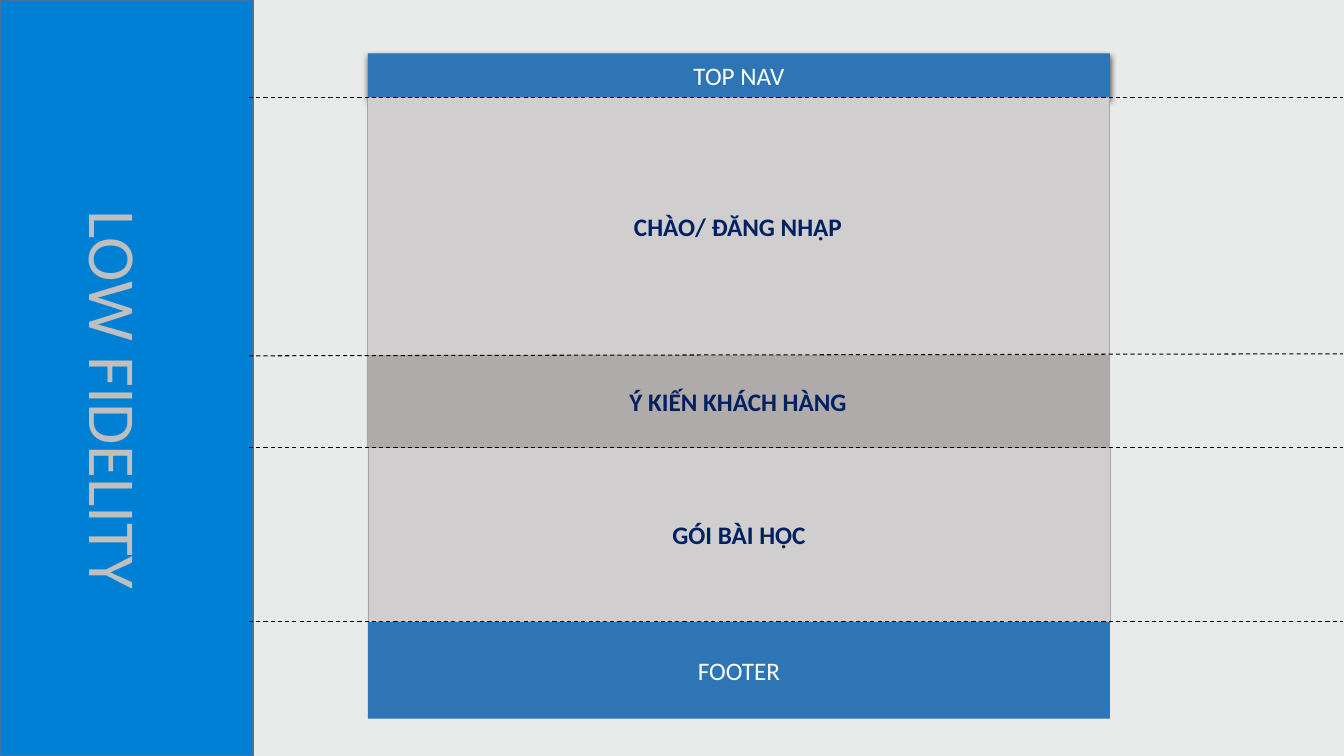
"""Build the low-fidelity wireframe slide with its stacked page sections."""
from lxml.etree import SubElement
from pptx import Presentation
from pptx.dml.color import RGBColor as Color
from pptx.enum.dml import MSO_LINE as Dash
from pptx.enum.shapes import MSO_CONNECTOR as Connector, MSO_SHAPE as Shape
from pptx.enum.text import MSO_ANCHOR as Anchor, MSO_AUTO_SIZE as Fit, PP_ALIGN as Align
from pptx.oxml import parse_xml
from pptx.oxml.ns import nsdecls, qn
from pptx.util import Inches, Pt

WHITE = Color(0xFF, 0xFF, 0xFF)
BLACK = Color(0x00, 0x00, 0x00)
NAVY = Color(0x00, 0x20, 0x60)
BLUE = Color(0x2E, 0x75, 0xB6)
PANEL = Color(0x00, 0x80, 0xD4)
PANEL_EDGE = Color(0x43, 0x73, 0x9E)
BACKDROP = Color(0xE9, 0xEA, 0xEA)
LIGHT = Color(0xD0, 0xCE, 0xCE)
MEDIUM = Color(0xAF, 0xAB, 0xAB)
EDGE = Color(0xA5, 0xA5, 0xA5)
TITLE_GREY = Color(0xBF, 0xBF, 0xBF)

WIDTH, HEIGHT = 13.33, 7.5
PANEL_WIDTH = 2.51
SECTION_WIDTH = 7.36
SECTION_TOP = 0.53
GUIDE_LEFT, GUIDE_RIGHT = 2.47, 13.32

TITLE = "LOW FIDELITY"
BAR = {"size": Pt(18), "name": "Calibri", "bold": False, "color": WHITE}
BODY = {**BAR, "bold": True, "color": NAVY}
HEADING = {**BAR, "size": Pt(48), "color": TITLE_GREY}

SECTIONS = [
    ("TOP NAV", 3.65, 0.44, BLUE, None, BAR),
    ("CHÀO/ ĐĂNG NHẬP", 3.64, 2.56, LIGHT, EDGE, BODY),
    ("Ý KIẾN KHÁCH HÀNG", 3.64, 0.91, MEDIUM, EDGE, BODY),
    ("GÓI BÀI HỌC", 3.65, 1.73, LIGHT, EDGE, BODY),
    ("FOOTER", 3.65, 0.96, BLUE, None, BAR),
]
GUIDE_RISES = [0, 0.02, 0, 0]

SHADOW = (
    f'<a:effectLst {nsdecls("a")}><a:outerShdw blurRad="57150" dist="19050" '
    'dir="5400000" algn="ctr" rotWithShape="0"><a:srgbClr val="000000">'
    '<a:alpha val="63000"/></a:srgbClr></a:outerShdw></a:effectLst>'
)


def write(para, text, style):
    span = para.add_run()
    span.text = text
    for key, value in style.items():
        if key == "color":
            span.font.color.rgb = value
        else:
            setattr(span.font, key, value)


def add_box(page, left, top, width, height, fill, edge=None, weight=0.5):
    box = page.shapes.add_shape(Shape.RECTANGLE, *map(Inches, (left, top, width, height)))
    box.shadow.inherit = False
    box.fill.solid()
    box.fill.fore_color.rgb = fill
    if edge is None:
        box.line.fill.background()
    else:
        box.line.color.rgb = edge
        box.line.width = Pt(weight)
    return box


def add_guide(page, start, end):
    points = map(Inches, (GUIDE_LEFT, start, GUIDE_RIGHT, end))
    guide = page.shapes.add_connector(Connector.STRAIGHT, *points)
    guide.line.color.rgb = BLACK
    guide.line.width = Pt(0.75)
    guide.line.dash_style = Dash.DASH
    SubElement(guide.element.spPr, qn("a:effectLst"))


def place_title(page):
    title = page.shapes.title
    title.element.getparent().append(title.element)
    place = {"left": -0.85, "top": 3.53, "width": 3.99, "height": 0.91}
    for key, value in place.items():
        setattr(title, key, Inches(value))
    title.rotation = 90
    frame = title.text_frame
    layout = {"word_wrap": False, "auto_size": Fit.SHAPE_TO_FIT_TEXT, "vertical_anchor": Anchor.TOP}
    for key, value in layout.items():
        setattr(frame, key, value)
    para = frame.paragraphs[0]
    para.alignment = Align.LEFT
    write(para, TITLE, HEADING)


def main():
    deck = Presentation()
    deck.slide_width, deck.slide_height = Inches(WIDTH), Inches(HEIGHT)
    page = deck.slides.add_slide(deck.slide_layouts[5])

    add_box(page, PANEL_WIDTH, 0, WIDTH - PANEL_WIDTH, HEIGHT, BACKDROP)
    add_box(page, 0, 0, PANEL_WIDTH, HEIGHT, PANEL, PANEL_EDGE, 1)

    top = SECTION_TOP
    bottoms = []
    for text, left, height, fill, edge, style in SECTIONS:
        box = add_box(page, left, top, SECTION_WIDTH, height, fill, edge)
        if not bottoms:
            properties = box.element.spPr
            properties.replace(properties.find(qn("a:effectLst")), parse_xml(SHADOW))
        box.text_frame.vertical_anchor = Anchor.MIDDLE
        para = box.text_frame.paragraphs[0]
        para.alignment = Align.CENTER
        write(para, text, style)
        top += height
        bottoms.append(top)

    place_title(page)
    for bottom, rise in zip(bottoms, GUIDE_RISES):
        add_guide(page, bottom, bottom - rise)
    deck.save("out.pptx")


if __name__ == "__main__":
    main()
